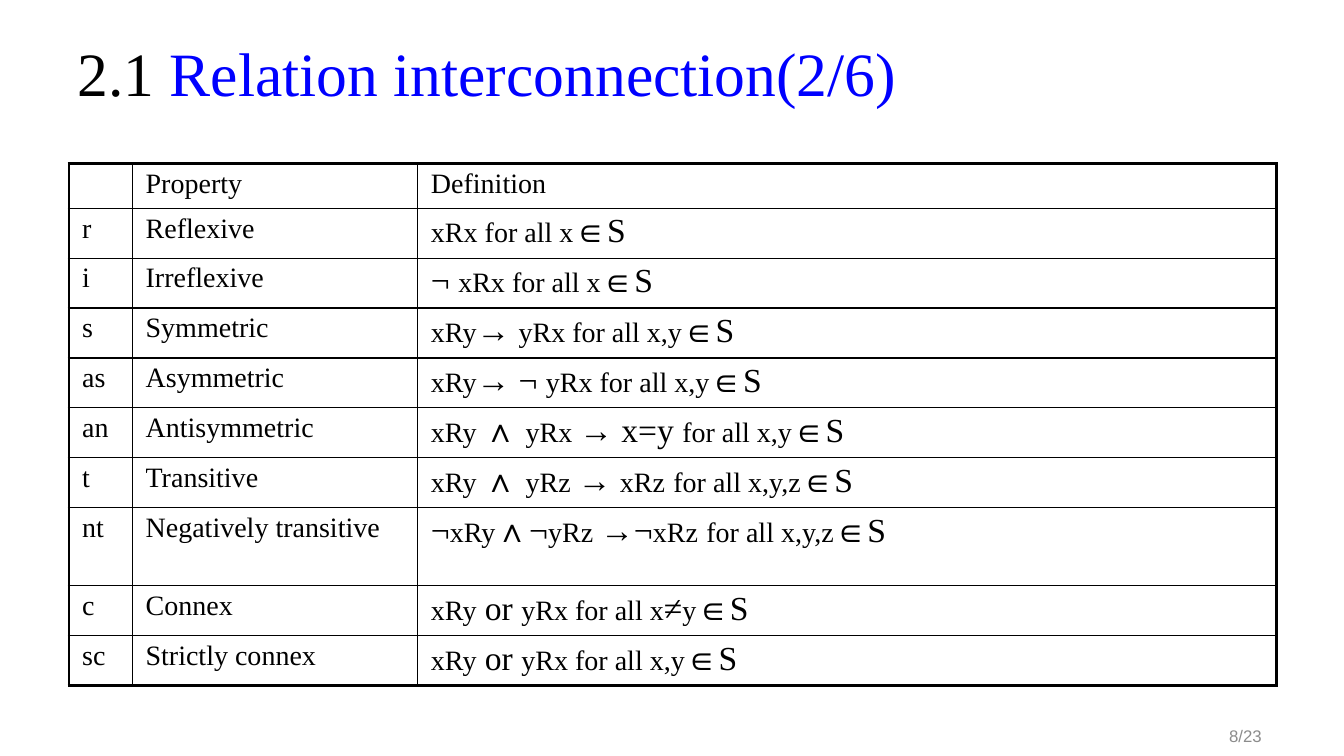
from lxml.etree import fromstring
from pptx import Presentation
from pptx.dml.color import RGBColor
from pptx.enum.text import MSO_ANCHOR, PP_ALIGN
from pptx.oxml.ns import nsdecls
from pptx.util import Cm, Pt

BLACK = RGBColor(0x00, 0x00, 0x00)
BLUE = RGBColor(0x00, 0x00, 0xFF)
GREY = RGBColor(0x8C, 0x8C, 0x8C)
SERIF, SANS = "Times New Roman", "Arial"

TITLE = [("2.1 ", 44, BLACK), ("Relation interconnection(2/6)", 44, BLUE)]
PAGE_NUMBER = [("8/23", 12, GREY)]

# In each cell, "|" switches between the small and the large text size.
ROWS = [
    ("", "Property", "Definition"),
    ("r", "Reflexive", "xRx for all x|∈S"),
    ("i", "Irreflexive", "|¬ |xRx for all x|∈S"),
    ("s", "Symmetric", "xRy|→ |yRx for all x,y|∈S"),
    ("as", "Asymmetric", "xRy|→ ¬ |yRx for all x,y|∈S"),
    ("an", "Antisymmetric", "xRy |∧ |yRx |→ x=y |for all x,y|∈S"),
    ("t", "Transitive", "xRy |∧ |yRz |→ |xRz| |for all x,y,z|∈S"),
    ("nt", "Negatively transitive", "|¬|xRy|∧¬|yRz |→¬|xRz| |for all x,y,z|∈S"),
    ("c", "Connex", "xRy| or |yRx for all x|≠|y|∈S"),
    ("sc", "Strictly connex", "xRy| or |yRx for all x,y|∈S"),
]
SIZES = (20, 24)
COLUMN_WIDTHS = (1.6, 7.19, 21.64)
HEADER_HEIGHT, ROW_HEIGHT, TALL_HEIGHT = 1.13, 1.19, 1.97
THIN, THICK = 1, 2.25


def add_spans(para, spans, font_name):
    for text, size, color in spans:
        span = para.add_run()
        span.text = text
        span.font.name = font_name
        span.font.size = Pt(size)
        span.font.color.rgb = color


def add_text(slide, left, top, width, height, spans, font_name):
    box = slide.shapes.add_textbox(Cm(left), Cm(top), Cm(width), Cm(height))
    frame = box.text_frame
    frame.word_wrap = True
    frame.vertical_anchor = MSO_ANCHOR.MIDDLE
    add_spans(frame.paragraphs[0], spans, font_name)
    return frame.paragraphs[0]


def set_borders(cell, widths):
    """Draw black borders; widths are in points: left, right, top, bottom."""
    properties = cell._tc.get_or_add_tcPr()
    for index, (side, width) in enumerate(zip("LRTB", widths)):
        properties.insert(index, fromstring(
            f'<a:ln{side} {nsdecls("a")} w="{Pt(width)}"><a:solidFill>'
            f'<a:srgbClr val="{BLACK}"/></a:solidFill></a:ln{side}>'))


def row_height(row):
    if row is ROWS[0]:
        return HEADER_HEIGHT
    return TALL_HEIGHT if row[0] == "nt" else ROW_HEIGHT


def add_relation_table(slide):
    heights = [row_height(row) for row in ROWS]
    table = slide.shapes.add_table(
        len(ROWS), len(COLUMN_WIDTHS), Cm(1.74), Cm(4.12),
        Cm(sum(COLUMN_WIDTHS)), Cm(sum(heights))).table
    table.first_row = table.horz_banding = False
    for column, width in zip(table.columns, COLUMN_WIDTHS):
        column.width = Cm(width)
    last_row, last_column = len(ROWS) - 1, len(COLUMN_WIDTHS) - 1
    for r, row in enumerate(ROWS):
        table.rows[r].height = Cm(heights[r])
        for c, text in enumerate(row):
            cell = table.cell(r, c)
            cell.margin_left = cell.margin_right = Cm(0.33)
            cell.margin_top = cell.margin_bottom = Cm(0.12)
            cell.fill.background()
            outer = (c == 0, c == last_column, r == 0, r == last_row)
            set_borders(cell, [THICK if edge else THIN for edge in outer])
            spans = [(part, SIZES[i % 2], BLACK)
                     for i, part in enumerate(text.split("|")) if part]
            add_spans(cell.text_frame.paragraphs[0], spans, SERIF)


def main():
    deck = Presentation()
    deck.slide_width, deck.slide_height = Cm(33.87), Cm(19.05)
    slide = deck.slides.add_slide(deck.slide_layouts[6])
    page_para = add_text(slide, 24.43, 18.03, 7.62, 1.02, PAGE_NUMBER, SANS)
    page_para.alignment = PP_ALIGN.RIGHT
    title_para = add_text(slide, 1.7, 0.33, 30.43, 3.18, TITLE, SERIF)
    title_para.line_spacing = 0.9
    add_relation_table(slide)
    deck.save("out.pptx")


if __name__ == "__main__":
    main()
